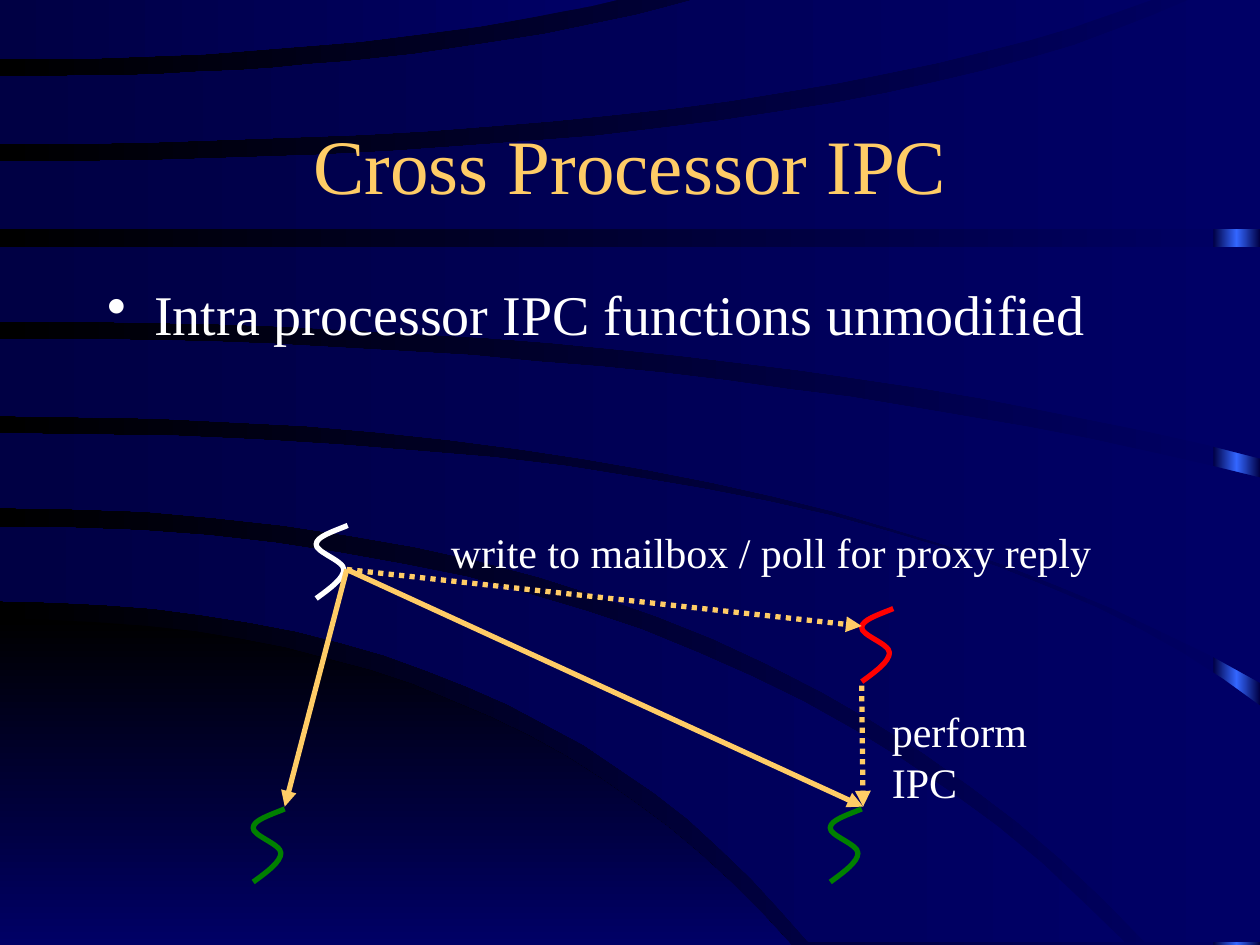
from copy import deepcopy

from lxml.etree import SubElement
from pptx import Presentation
from pptx.dml.color import RGBColor
from pptx.enum.dml import MSO_LINE
from pptx.enum.shapes import MSO_CONNECTOR, MSO_SHAPE
from pptx.enum.text import MSO_ANCHOR, MSO_AUTO_SIZE, PP_ALIGN
from pptx.oxml.ns import qn
from pptx.util import Cm, Pt

NAVY = RGBColor(0x00, 0x00, 0x66)
DARK_NAVY = RGBColor(0x00, 0x00, 0x44)
BLACK = RGBColor(0x00, 0x00, 0x00)
BLUE = RGBColor(0x33, 0x66, 0xFF)
GOLD = RGBColor(0xFF, 0xCC, 0x66)
WHITE = RGBColor(0xFF, 0xFF, 0xFF)
RED = RGBColor(0xFF, 0x00, 0x00)
GREEN = RGBColor(0x00, 0x80, 0x00)
FONT = "Times New Roman"

# Outline points are whole steps of a fine grid, 1000 x 750 over the slide.
GRID = Cm(0.0254)
ARC_STEPS = 20

# Upper and lower edge of each band. An edge leaves the left side level at
# start_y, bends towards its end: (start_y, bend_x, end_x, end_y).
DARK_CORNER = (491, 403, 628, 750), (750, 314, 628, 750)
BANDS = [
    ((418, 574, 893, 748), (477, 421, 642, 748)),
    ((344, 720, 1000, 560), (403, 588, 909, 748)),
    ((269, 554, 1000, 379), (330, 630, 1000, 542)),
    ((196, 500, 1000, 196), (255, 574, 1000, 364)),
    ((128, 669, 943, 0), (182, 500, 1000, 182)),
    ((61, 329, 550, 0), (114, 613, 914, 0)),
    ((0, 245, 490, 0), (47, 281, 490, 0)),
]
# Start point, then three cubic curves of three points each.
SQUIGGLE = [(26, 0), (14, 5), (1, 9), (1, 15), (0, 21), (23, 28), (23, 35),
            (23, 42), (12, 50), (1, 58)]


def arc_points(start_y, bend_x, end_x, end_y):
    """Points of the quadratic curve along one band edge."""
    points = []
    for i in range(ARC_STEPS + 1):
        t = i / ARC_STEPS
        points.append((round(2 * t * (1 - t) * bend_x + t * t * end_x),
                       round(start_y + t * t * (end_y - start_y))))
    return points


def set_gradient(fill, angle, *colors):
    """Fill with evenly spaced colours along a counter-clockwise angle."""
    fill.gradient()
    fill.gradient_angle = angle
    stop_list = fill._xPr.find(".//" + qn("a:gsLst"))
    while len(stop_list) < len(colors):
        stop_list.append(deepcopy(stop_list[0]))
    for i, (stop, color) in enumerate(zip(fill.gradient_stops, colors)):
        stop.position = i / (len(colors) - 1)
        stop.color.rgb = color


def add_outline(slide, points, close=True):
    builder = slide.shapes.build_freeform(*points[0], scale=float(GRID))
    builder.add_line_segments(points[1:], close=close)
    sp = builder.convert_to_shape()
    sp.shadow.inherit = False
    return sp


def add_band(slide, edges, angle, *colors):
    upper, lower = (arc_points(*edge) for edge in edges)
    ends = sorted([upper[-1], lower[-1]])
    corner = (ends[1][0], ends[0][1])
    sp = add_outline(slide, [*upper, corner, *reversed(lower)])
    set_gradient(sp.fill, angle, *colors)
    sp.line.fill.background()


def add_squiggle(slide, left, top, color):
    sp = add_outline(slide, [(left + x, top + y) for x, y in SQUIGGLE], False)
    sp.fill.background()
    sp.line.color.rgb = color
    sp.line.width = Pt(3)
    path = sp._element.find(".//" + qn("a:path"))
    segments = path.findall(qn("a:lnTo"))
    for i in range(0, len(segments), 3):
        curve = SubElement(path, qn("a:cubicBezTo"))
        for segment in segments[i:i + 3]:
            curve.append(segment[0])
            path.remove(segment)


def add_arrow(slide, start, end, dotted=False):
    ends = [Cm(v) for v in (*start, *end)]
    arrow = slide.shapes.add_connector(MSO_CONNECTOR.STRAIGHT, *ends)
    arrow.line.color.rgb = GOLD
    arrow.line.width = Pt(3)
    if dotted:
        arrow.line.dash_style = MSO_LINE.ROUND_DOT
    SubElement(arrow.line._get_or_add_ln(), qn("a:tailEnd"), type="triangle")
    SubElement(arrow._element.spPr, qn("a:effectLst"))


def set_text(sp, text, size, color):
    """Write one formatted paragraph and return it."""
    p = sp.text_frame.paragraphs[0]
    p.text = text
    font = p.runs[0].font
    font.name, font.size, font.color.rgb = FONT, Pt(size), color
    return p


def add_label(slide, text, left, top, width):
    sp = slide.shapes.add_textbox(Cm(left), Cm(top), Cm(width), Cm(1.27))
    sp.text_frame.word_wrap = False
    sp.text_frame.auto_size = MSO_AUTO_SIZE.SHAPE_TO_FIT_TEXT
    set_text(sp, text, 24, WHITE)


def add_bullet(slide, text):
    sp = slide.shapes.add_textbox(Cm(1.91), Cm(5.51), Cm(21.59), Cm(11.43))
    sp.text_frame.word_wrap = True
    p = set_text(sp, text, 32, WHITE)
    p.space_before = Pt(8)
    pPr = p._p.get_or_add_pPr()
    pPr.set("marL", str(Cm(0.95)))
    pPr.set("indent", str(-Cm(0.95)))
    SubElement(SubElement(pPr, qn("a:buClr")), qn("a:srgbClr"), val=str(WHITE))
    SubElement(pPr, qn("a:buChar"), char="•")


def format_title(slide, text):
    title = slide.shapes.title
    title.left, title.top = Cm(1.91), Cm(1.7)
    title.width, title.height = Cm(21.59), Cm(3.18)
    title.text_frame.auto_size = MSO_AUTO_SIZE.NONE
    title.text_frame.vertical_anchor = MSO_ANCHOR.MIDDLE
    set_text(title, text, 44, GOLD).alignment = PP_ALIGN.CENTER
    slide.shapes._spTree.append(title._element)  # in front of the bands


def add_backdrop(slide):
    set_gradient(slide.background.fill, 180, NAVY, BLACK)
    strip = slide.shapes.add_shape(
        MSO_SHAPE.RECTANGLE, Cm(24.46), 0, Cm(0.94), Cm(19.05))
    strip.shadow.inherit = False
    strip.line.fill.background()
    set_gradient(strip.fill, 180, DARK_NAVY, BLUE, DARK_NAVY)
    add_band(slide, DARK_CORNER, 270, BLACK, NAVY)
    for edges in BANDS:
        add_band(slide, edges, 180, NAVY, DARK_NAVY)


def main():
    prs = Presentation()
    prs.slide_width, prs.slide_height = Cm(25.4), Cm(19.05)
    slide = prs.slides.add_slide(prs.slide_layouts[5])
    add_backdrop(slide)
    format_title(slide, "Cross Processor IPC")
    add_bullet(slide, "Intra processor IPC functions unmodified")

    for left, top, color in [(250, 417, WHITE), (683, 483, RED),
                             (658, 642, GREEN), (200, 642, GREEN)]:
        add_squiggle(slide, left, top, color)

    caller, local, remote = (6.99, 11.48), (5.74, 16.26), (17.4, 16.26)
    add_arrow(slide, caller, local)
    add_arrow(slide, caller, remote)
    add_arrow(slide, caller, (17.37, 12.62), dotted=True)
    add_arrow(slide, (17.37, 13.82), remote, dotted=True)

    add_label(slide, "write to mailbox / poll for proxy reply", 8.84, 10.49, 13.41)
    add_label(slide, "perform IPC", 17.73, 14.1, 4.75)
    prs.save("out.pptx")


if __name__ == "__main__":
    main()
